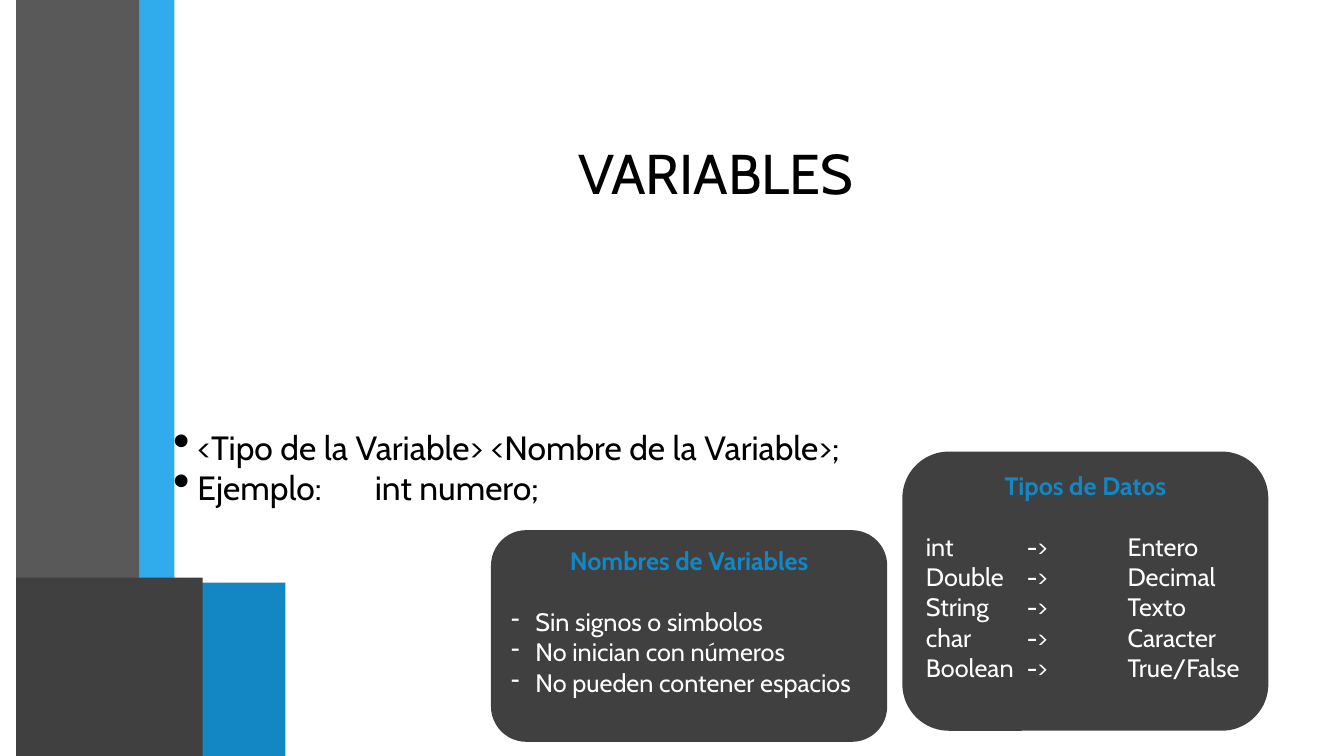
from dataclasses import dataclass
from lxml import etree
from pptx import Presentation
from pptx.dml.color import RGBColor
from pptx.enum.shapes import MSO_SHAPE
from pptx.enum.text import MSO_ANCHOR, PP_ALIGN
from pptx.oxml.ns import qn
from pptx.util import Inches, Pt


@dataclass(frozen=True)
class Theme:
    font: str = "Cabin"
    ink: str = "000000"
    light: str = "FFFFFF"
    blue: str = "1287C3"
    sky: str = "30ACEC"
    grey: str = "595959"
    dark: str = "404040"
    title_size: int = 40
    body_size: int = 24
    card_size: int = 18


THEME = Theme()
WIDTH, HEIGHT = 13.33, 7.5

# Content
TITLE = "VARIABLES"
SYNTAX = ["<Tipo de la Variable> <Nombre de la Variable>;", "Ejemplo:\tint numero;"]
DATA_TYPES = [("int", "Entero"), ("Double", "Decimal"), ("String", "Texto"),
              ("char", "Caracter"), ("Boolean", "True/False")]
NAME_RULES = ["Sin signos o simbolos", "No inician con números",
              "No pueden contener espacios"]

# Layout: left, top, width, height in inches
LEFT, CONTENT_WIDTH = 1.62, 10.96
EDGE, BASE = 0.16, 5.73
TITLE_BOX = (LEFT, HEIGHT / 10, CONTENT_WIDTH, 1.92)
SYNTAX_BOX = (LEFT, 2.92, CONTENT_WIDTH, 3.42)
TYPES_BOX = (8.95, 4.48, LEFT + CONTENT_WIDTH - 8.95, 2.77)
RULES_BOX = (4.87, 5.26, 3.93, 2.1)
BARS = [
    ((0.5, 0, 1.23, 5.83), THEME.sky),
    ((EDGE, 0, 1.22, 5.77), THEME.grey),
    ((0.5, 5.78, 2.33, HEIGHT - 5.78), THEME.blue),
    ((EDGE, BASE, 1.85, HEIGHT - BASE), THEME.dark),
]
BULLET_INDENT = 0.24
CARD_CORNER = 0.167
HEADING_GAP = 22  # points, one card line


def place(box):
    return [Inches(length) for length in box]


def add_block(kind, box, color):
    block = slide.shapes.add_shape(kind, *place(box))
    block.shadow.inherit = False
    block.fill.solid()
    block.fill.fore_color.rgb = RGBColor.from_string(color)
    block.line.fill.background()
    return block


def write(paragraph, text, size, color, align=PP_ALIGN.LEFT, bold=False):
    paragraph.text = text
    paragraph.alignment = align
    paragraph.space_before = Pt(0)
    font = paragraph.font
    font.name, font.size, font.bold = THEME.font, Pt(size), bold
    font.color.rgb = RGBColor.from_string(color)


def add_bullet(paragraph, mark, percent=100):
    props = paragraph._p.get_or_add_pPr()
    props.set("marL", str(Inches(BULLET_INDENT)))
    props.set("indent", str(-Inches(BULLET_INDENT)))
    size = etree.Element(qn("a:buSzPct"), val=str(percent * 1000))
    char = etree.Element(qn("a:buChar"), char=mark)
    props.insert_element_before(size, "a:buChar", "a:tabLst", "a:defRPr")
    props.insert_element_before(char, "a:tabLst", "a:defRPr")


def add_tabs(paragraph, *stops):
    tabs = etree.Element(qn("a:tabLst"))
    for stop in stops:
        etree.SubElement(tabs, qn("a:tab"), pos=str(Inches(stop)), algn="l")
    paragraph._p.get_or_add_pPr().insert_element_before(tabs, "a:defRPr")


def add_card(box, heading, lines):
    card = add_block(MSO_SHAPE.ROUNDED_RECTANGLE, box, THEME.dark)
    card.adjustments[0] = CARD_CORNER
    frame = card.text_frame
    frame.word_wrap = True
    frame.vertical_anchor = MSO_ANCHOR.TOP
    write(frame.paragraphs[0], heading, THEME.card_size, THEME.blue,
          PP_ALIGN.CENTER, bold=True)
    frame.paragraphs[0].space_after = Pt(HEADING_GAP)
    rows = []
    for line in lines:
        row = frame.add_paragraph()
        write(row, line, THEME.card_size, THEME.light, PP_ALIGN.JUSTIFY)
        rows.append(row)
    return rows


deck = Presentation()
deck.slide_width, deck.slide_height = Inches(WIDTH), Inches(HEIGHT)
slide = deck.slides.add_slide(deck.slide_layouts[5])

# Side decoration
for bar_box, bar_color in BARS:
    add_block(MSO_SHAPE.RECTANGLE, bar_box, bar_color)

# Title
title = slide.shapes.title
title.left, title.top, title.width, title.height = place(TITLE_BOX)
title.text_frame.vertical_anchor = MSO_ANCHOR.MIDDLE
write(title.text_frame.paragraphs[0], TITLE, THEME.title_size, THEME.ink,
      PP_ALIGN.CENTER)

# Declaration syntax
syntax = slide.shapes.add_textbox(*place(SYNTAX_BOX)).text_frame
syntax.word_wrap = True
syntax.vertical_anchor = MSO_ANCHOR.MIDDLE
for index, line in enumerate(SYNTAX):
    entry = syntax.add_paragraph() if index else syntax.paragraphs[0]
    write(entry, line, THEME.body_size, THEME.ink)
    add_bullet(entry, "•", 145)
    add_tabs(entry, 2)

# Cards
for row in add_card(TYPES_BOX, "Tipos de Datos",
                    [f"{name}\t->\t{meaning}" for name, meaning in DATA_TYPES]):
    add_tabs(row, 1, 2)
for row in add_card(RULES_BOX, "Nombres de Variables", NAME_RULES):
    add_bullet(row, "-")

deck.save("out.pptx")
